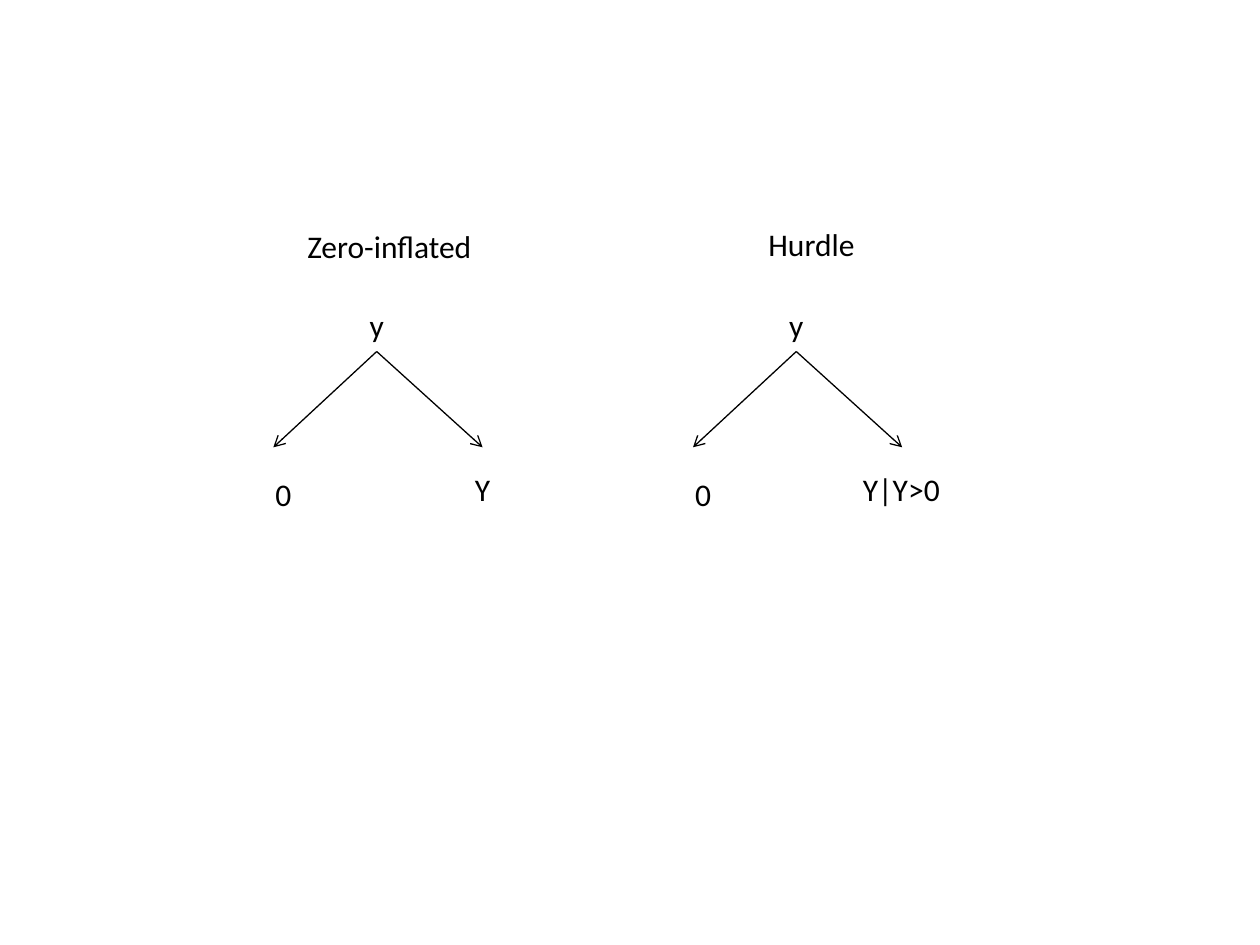
import pptx
import pptx.dml.color
import pptx.enum.shapes
import pptx.enum.text
import pptx.oxml.ns
import pptx.util
from lxml import etree

Inches = pptx.util.Inches
ANCHOR = pptx.enum.text.MSO_ANCHOR
COLORS = {"ink": "000000", "background": "FFFFFF"}
FONT, TEXT_SIZE, LINE_WIDTH = "Calibri", 18, 0.75

# Content: each model splits y into a zero part and a count part
MODELS = [
    {"title": "Zero-inflated", "title_box": (2.34, 1.75, 1.52),
     "count": "Y", "count_width": 0.32, "left": 2.0},
    {"title": "Hurdle", "title_box": (6.0, 1.74, 0.89),
     "count": "Y|Y>0", "count_width": 0.82, "left": 5.33},
]

# Tree layout, horizontal values measured from the left of the tree
ROOT_LEFT, ROOT_TOP, ROOT_WIDTH, ROOT_HEIGHT = 0.7, 2.38, 0.58, 0.41
ZERO_TIP, COUNT_TIP, TIP_TOP = 0.17, 1.83, 3.55


def color(name):
    return pptx.dml.color.RGBColor.from_string(COLORS[name])


def add_label(shapes, text, left, top, width, height=0.4,
              anchor=ANCHOR.TOP, centered=False):
    label = shapes.add_textbox(Inches(left), Inches(top), Inches(width), Inches(height))
    frame = label.text_frame
    frame.word_wrap = centered
    frame.auto_size = pptx.enum.text.MSO_AUTO_SIZE.SHAPE_TO_FIT_TEXT
    frame.vertical_anchor = anchor
    paragraph = frame.paragraphs[0]
    if centered:
        paragraph.alignment = pptx.enum.text.PP_ALIGN.CENTER
    run = paragraph.add_run()
    run.text = text
    run.font.name = FONT
    run.font.size = pptx.util.Pt(TEXT_SIZE)
    run.font.color.rgb = color("ink")
    return label


def add_branch(shapes, root, tip_left):
    branch = shapes.add_connector(
        pptx.enum.shapes.MSO_CONNECTOR.STRAIGHT,
        root.left + root.width // 2, root.top + root.height,
        Inches(tip_left), Inches(TIP_TOP))
    branch.begin_connect(root, 2)
    branch.line.color.rgb = color("ink")
    branch.line.width = pptx.util.Pt(LINE_WIDTH)
    qn = pptx.oxml.ns.qn
    etree.SubElement(branch.line._get_or_add_ln(), qn("a:tailEnd"), type="arrow")
    etree.SubElement(branch._element.spPr, qn("a:effectLst"))


def add_tree(slide, model):
    shapes = slide.shapes.add_group_shape().shapes
    left = model["left"]
    root = add_label(shapes, "y", left + ROOT_LEFT, ROOT_TOP, ROOT_WIDTH,
                     ROOT_HEIGHT, centered=True)
    for tip in (ZERO_TIP, COUNT_TIP):
        add_branch(shapes, root, left + tip)
    add_label(shapes, "0", left, 3.71, 0.5, 0.42, ANCHOR.MIDDLE, centered=True)
    width = model["count_width"]
    add_label(shapes, model["count"], left + COUNT_TIP - width / 2, 3.68, width,
              anchor=ANCHOR.MIDDLE)


def main():
    presentation = pptx.Presentation()
    presentation.slide_width, presentation.slide_height = Inches(10), Inches(7.5)
    slide = presentation.slides.add_slide(presentation.slide_layouts[6])
    slide.background.fill.solid()
    slide.background.fill.fore_color.rgb = color("background")

    # One tree with its heading per model
    for model in MODELS:
        add_tree(slide, model)
        add_label(slide.shapes, model["title"], *model["title_box"])
    presentation.save("out.pptx")


if __name__ == "__main__":
    main()
